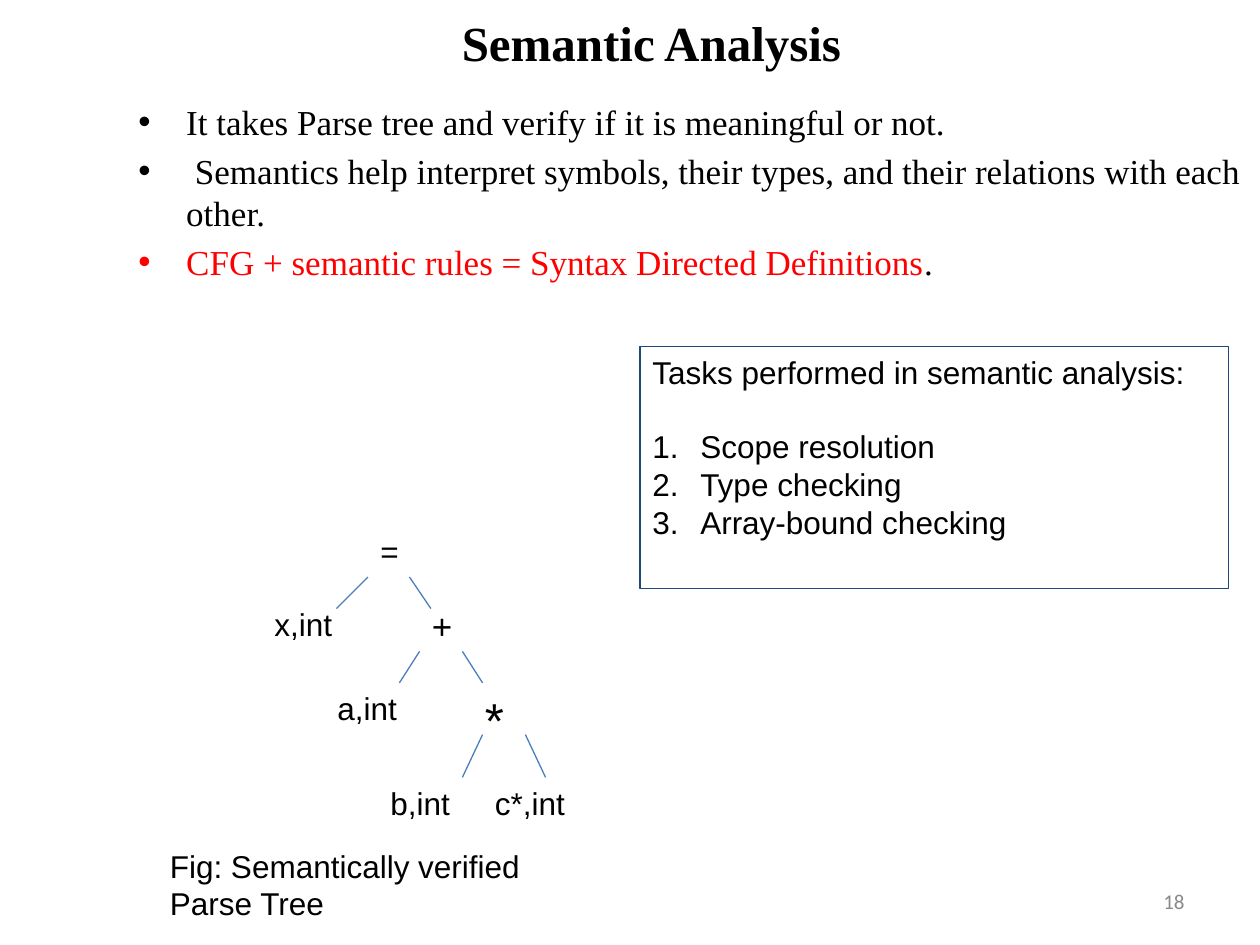
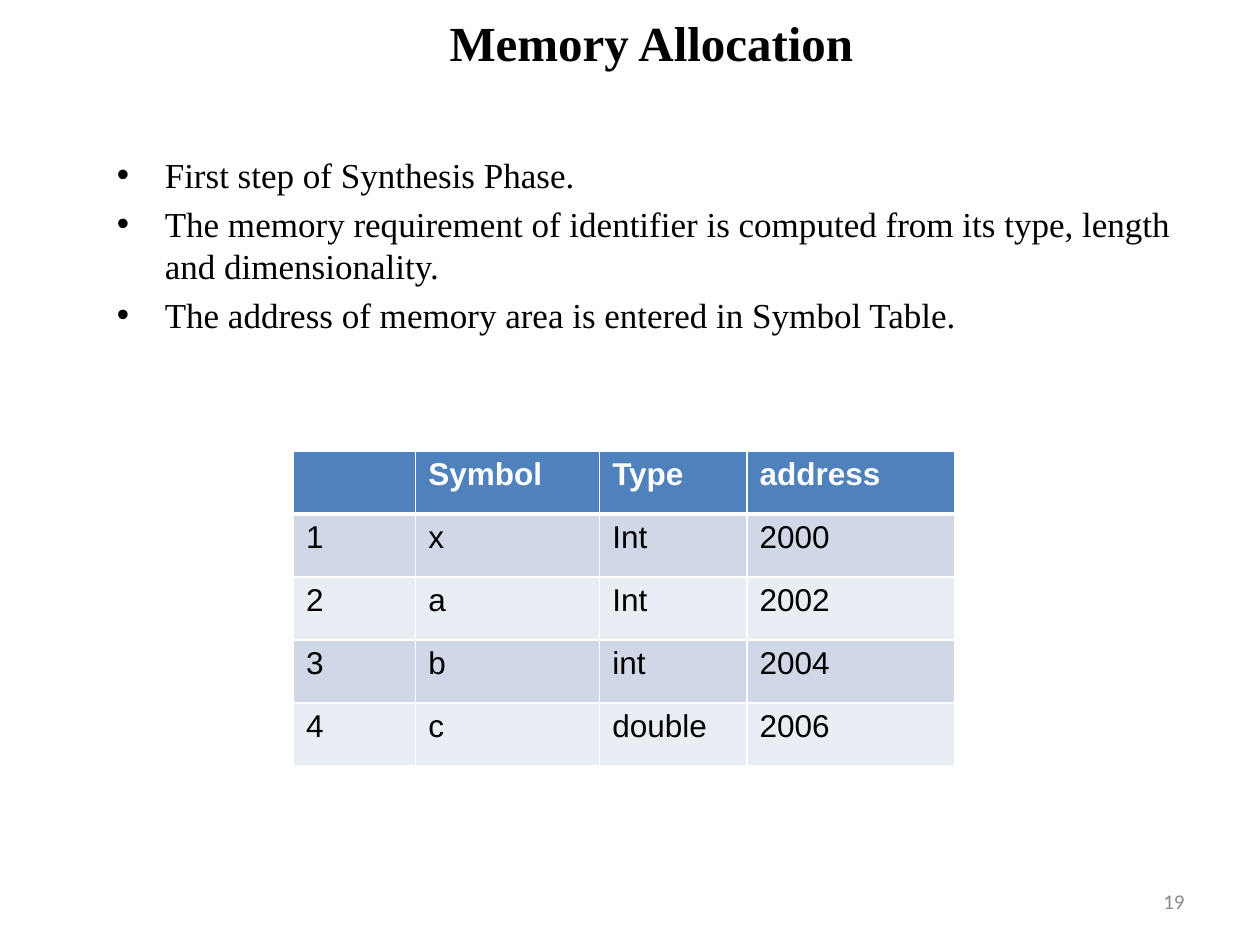
import pptx
import pptx.dml.color
import pptx.enum.shapes
import pptx.enum.text
import pptx.oxml.ns
import pptx.util
from lxml import etree

Inches = pptx.util.Inches
Pt = pptx.util.Pt
ALIGN = pptx.enum.text.PP_ALIGN
ANCHOR = pptx.enum.text.MSO_ANCHOR

COLORS = {
    "text": "000000", "accent": "FF0000", "number": "898989", "frame": "1F497D",
    "branch": "4B7EBC", "header": "4F81BD", "odd": "D0D8E8", "even": "E9EDF4",
    "white": "FFFFFF",
}
SERIF, SANS, FOOTER = "Times New Roman", "Arial", "Calibri"
INDENT = 0.38


def rgb(name):
    return pptx.dml.color.RGBColor.from_string(COLORS[name])


def add_xml(parent, tag, **attributes):
    return etree.SubElement(parent, pptx.oxml.ns.qn(tag), attributes)


def style(runs, font, size, color="text", bold=False):
    for run in runs:
        run.font.name = font
        run.font.size = Pt(size)
        run.font.bold = bold
        run.font.color.rgb = rgb(color)


def add_label(slide, box, text, font=SANS, size=18, color="text", bold=False,
              align=ALIGN.LEFT, anchor=ANCHOR.TOP):
    label = slide.shapes.add_textbox(*map(Inches, box))
    frame = label.text_frame
    frame.word_wrap = True
    frame.vertical_anchor = anchor
    frame.text = text
    frame.paragraphs[0].alignment = align
    style(frame.paragraphs[0].runs, font, size, color, bold)


def make_list_item(paragraph, marker, **marker_attributes):
    properties = paragraph._p.get_or_add_pPr()
    properties.set("marL", str(Inches(INDENT)))
    properties.set("indent", str(-Inches(INDENT)))
    add_xml(properties, "a:buFont", typeface=SANS)
    add_xml(properties, marker, **marker_attributes)


# Title and page number shared by the slides
def start_slide(deck, title, number):
    slide = deck.slides.add_slide(deck.slide_layouts[6])
    add_label(slide, (0.67, 0, 9, 0.67), title, SERIF, 28, bold=True,
              align=ALIGN.CENTER, anchor=ANCHOR.MIDDLE)
    add_label(slide, (7.17, 6.95, 2.33, 0.4), str(number), FOOTER, 12, "number",
              align=ALIGN.RIGHT, anchor=ANCHOR.MIDDLE)
    return slide


# Each bullet is a list of (text, color) pieces
def add_bullets(slide, box, bullets):
    frame = slide.shapes.add_textbox(*map(Inches, box)).text_frame
    frame.word_wrap = True
    for index, pieces in enumerate(bullets):
        bullet = frame.paragraphs[0] if index == 0 else frame.add_paragraph()
        bullet.space_before = Pt(4)
        for text, color in pieces:
            run = bullet.add_run()
            run.text = text
            style([run], SERIF, 20, color)
        make_list_item(bullet, "a:buChar", char="•")


def add_task_box(slide, box, heading, tasks):
    panel = slide.shapes.add_shape(
        pptx.enum.shapes.MSO_SHAPE.RECTANGLE, *map(Inches, box))
    panel.shadow.inherit = False
    panel.fill.background()
    panel.line.color.rgb = rgb("frame")
    panel.line.width = Pt(0.75)
    frame = panel.text_frame
    frame.word_wrap = True
    frame.vertical_anchor = ANCHOR.TOP
    frame.text = "\n".join([heading] + tasks)
    for index, paragraph in enumerate(frame.paragraphs):
        paragraph.alignment = ALIGN.LEFT
        style(paragraph.runs, SANS, 18)
        if index == 1:
            paragraph.space_before = Pt(21)
        if index > 0:
            make_list_item(paragraph, "a:buAutoNum", type="arabicPeriod")


# Tree nodes and branches are offsets from the top left corner of the tree
def add_parse_tree(slide, left, top):
    nodes = [
        ("=", 0.84, 0, 0.42, 18),
        ("x,int", 0, 0.58, 0.75, 18), ("+", 1.25, 0.58, 0.42, 20),
        ("a,int", 0.5, 1.25, 0.75, 18), ("*", 1.67, 1.25, 0.58, 28),
        ("b,int", 0.92, 2, 0.75, 18), ("c*,int", 1.75, 2, 0.83, 18),
    ]
    for text, x, y, width, size in nodes:
        add_label(slide, (left + x, top + y, width, 0.4), text, size=size)

    branches = [
        (0.84, 0.41, 0.59, 0.66), (1.17, 0.41, 1.34, 0.66),
        (1.25, 1, 1.09, 1.25), (1.59, 1, 1.75, 1.25),
        (1.75, 1.66, 1.59, 2), (2.09, 1.66, 2.25, 2),
    ]
    for x1, y1, x2, y2 in branches:
        branch = slide.shapes.add_connector(
            pptx.enum.shapes.MSO_CONNECTOR.STRAIGHT,
            Inches(left + x1), Inches(top + y1), Inches(left + x2), Inches(top + y2))
        branch.line.color.rgb = rgb("branch")
        branch.line.width = Pt(0.75)
        add_xml(branch._element.spPr, "a:effectLst")


def set_borders(cell, row):
    properties = cell._tc.get_or_add_tcPr()
    widths = {"L": 1, "R": 1, "T": 3 if row == 1 else 1, "B": 3 if row == 0 else 1}
    for side, width in widths.items():
        border = add_xml(properties, f"a:ln{side}", w=str(Pt(width)))
        add_xml(add_xml(border, "a:solidFill"), "a:srgbClr", val=COLORS["white"])


def add_symbol_table(slide, left, top, rows):
    column_widths = [0.97, 1.46, 1.17, 1.65]
    row_height = 0.5
    table = slide.shapes.add_table(
        len(rows), len(column_widths), Inches(left), Inches(top),
        Inches(sum(column_widths)), Inches(row_height * len(rows))).table
    for column, width in zip(table.columns, column_widths):
        column.width = Inches(width)
    for r, values in enumerate(rows):
        fill = "header" if r == 0 else "odd" if r % 2 else "even"
        for c, value in enumerate(values):
            cell = table.cell(r, c)
            cell.text = value
            style(cell.text_frame.paragraphs[0].runs, SANS, 18,
                  "text" if r else "white", bold=r == 0)
            set_borders(cell, r)
            cell.fill.solid()
            cell.fill.fore_color.rgb = rgb(fill)


def build_semantic_analysis(deck):
    slide = start_slide(deck, "Semantic Analysis", 18)
    add_bullets(slide, (1, 0.75, 9, 3.25), [
        [("It takes Parse tree and verify if it is meaningful or not.", "text")],
        [(" Semantics help interpret symbols, their types, and their relations "
          "with each other.", "text")],
        [("CFG + semantic rules = Syntax Directed Definitions", "accent"),
         (".", "text")],
    ])
    add_task_box(slide, (5.08, 2.75, 4.67, 1.92),
                 "Tasks performed in semantic analysis:",
                 ["Scope resolution", "Type checking", "Array-bound checking"])
    add_parse_tree(slide, 2.08, 4.17)
    add_label(slide, (1.25, 6.67, 3.5, 0.71), "Fig: Semantically verified Parse Tree")


def build_memory_allocation(deck):
    slide = start_slide(deck, "Memory Allocation", 19)
    add_bullets(slide, (0.83, 1.17, 9, 4.95), [
        [("First step of Synthesis Phase.", "text")],
        [("The memory requirement of identifier is computed from its type, length "
          "and dimensionality.", "text")],
        [("The address of memory area is entered in Symbol Table.", "text")],
    ])
    add_symbol_table(slide, 2.33, 3.58, [
        ["", "Symbol", "Type", "address"],
        ["1", "x", "Int", "2000"],
        ["2", "a", "Int", "2002"],
        ["3", "b", "int", "2004"],
        ["4", "c", "double", "2006"],
    ])


def main():
    deck = pptx.Presentation()
    deck.slide_width = Inches(10)
    deck.slide_height = Inches(7.5)
    build_semantic_analysis(deck)
    build_memory_allocation(deck)
    deck.save("out.pptx")


if __name__ == "__main__":
    main()
